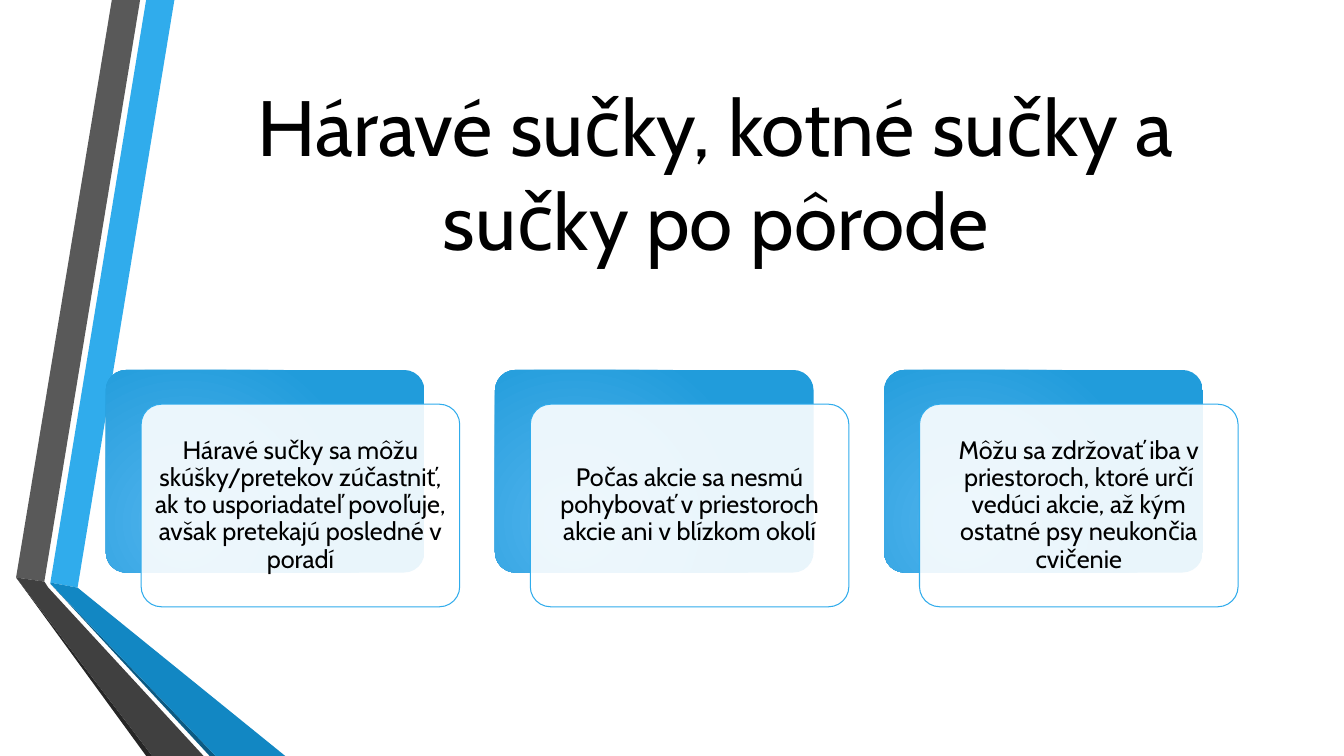
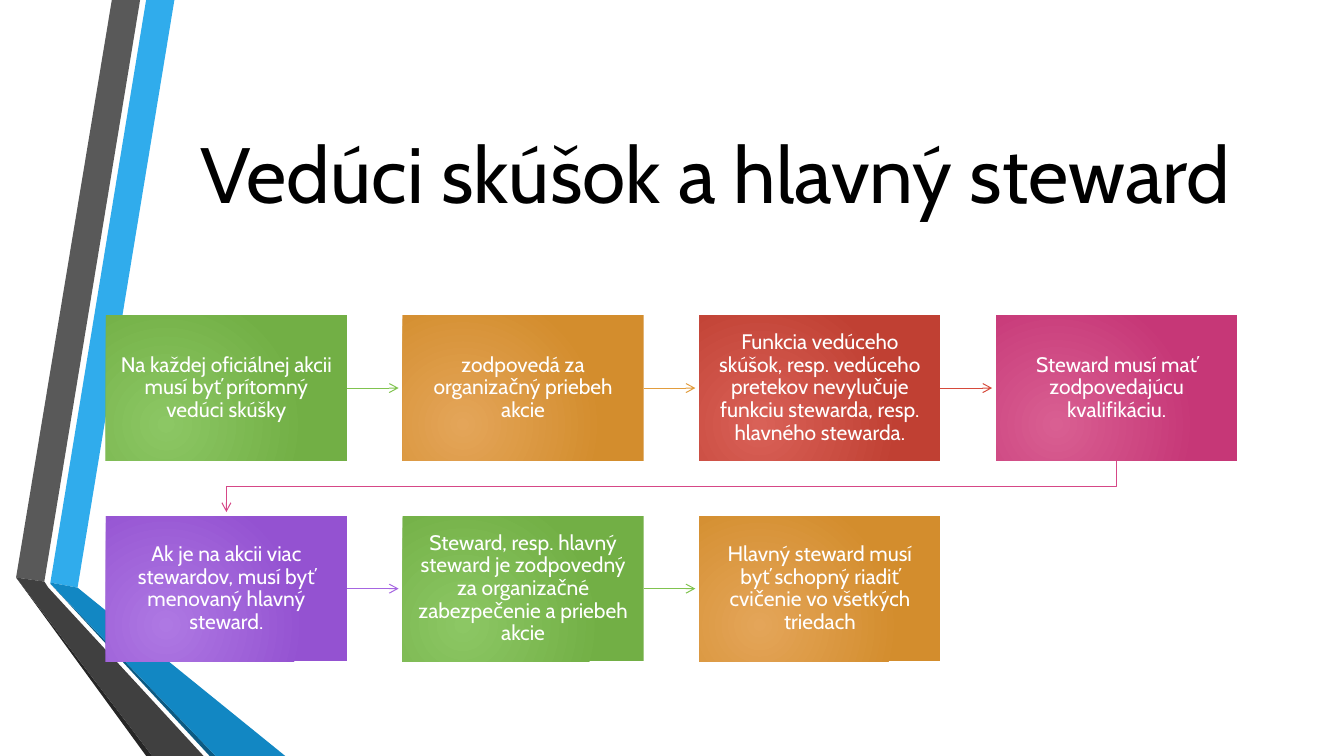
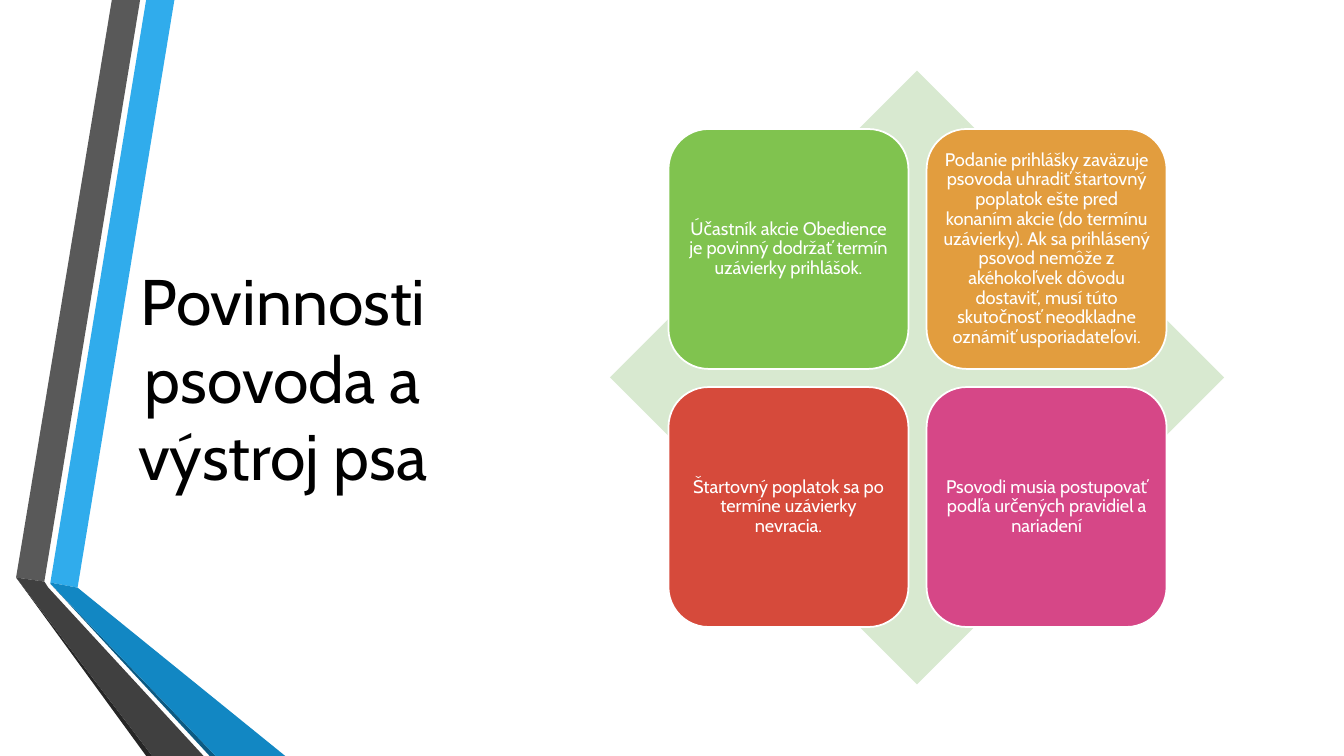
from typing import NamedTuple

from lxml.etree import SubElement
from pptx import Presentation
from pptx.dml.color import RGBColor
from pptx.enum.shapes import MSO_CONNECTOR as Connector, MSO_SHAPE as Shape
from pptx.enum.text import MSO_ANCHOR as Anchor, PP_ALIGN as Align
from pptx.oxml.ns import qn
from pptx.util import Inches, Pt

FONT = "Cabin"
COLORS = {
    "black": "000000", "white": "FFFFFF", "blue": "30ACEC",
    "blue deep": "1287C3", "blue dark": "0C5A82",
    "gray": "595959", "gray deep": "404040", "gray dark": "262626",
    "green": "80C34F", "orange": "E29D3E", "red": "D64A3B",
    "pink": "D64787", "purple": "A666E1", "pale green": "D8E9D0",
}
GRADIENTS = {
    "blue": ("51B3ED", "219CDB"), "green": ("8CC764", "72AF45"),
    "orange": ("E4A559", "D38D2D"), "red": ("D96157", "C04033"),
    "pink": ("D95F92", "C63777"), "purple": ("AE78E3", "9452D1"),
}
RIBBON = [
    ("blue", [(0.5, 5.78), (0.77, 5.83), (1.73, 0), (1.45, 0)]),
    ("gray", [(1.39, 0), (1.11, 0), (0.16, 5.73), (0.44, 5.77)]),
    ("gray dark", [(0.16, 5.73), (1.45, 7.5), (1.51, 7.5)]),
    ("blue dark", [(0.5, 5.79), (2.08, 7.5), (2.14, 7.5)]),
    ("blue deep", [(0.5, 5.79), (2.14, 7.5), (2.83, 7.5), (0.77, 5.83), (0.5, 5.78)]),
    ("gray deep", [(2.02, 7.5), (0.48, 5.83), (0.44, 5.77), (0.16, 5.73), (1.51, 7.5)]),
]
HEAT_RULES = [
    "Háravé sučky sa môžu skúšky/pretekov zúčastniť, ak to usporiadateľ povoľuje, "
    "avšak pretekajú posledné v poradí",
    "Počas akcie sa nesmú pohybovať v priestoroch akcie ani v blízkom okolí",
    "Môžu sa zdržovať iba v priestoroch, ktoré určí vedúci akcie, až kým ostatné psy "
    "neukončia cvičenie",
]
STEWARD_STEPS = [
    ("green", "Na každej oficiálnej akcii musí byť prítomný vedúci skúšky"),
    ("orange", "zodpovedá za organizačný priebeh akcie"),
    ("red", "Funkcia vedúceho skúšok, resp. vedúceho pretekov nevylučuje funkciu "
            "stewarda, resp. hlavného stewarda."),
    ("pink", "Steward musí mať zodpovedajúcu kvalifikáciu."),
    ("purple", "Ak je na akcii viac stewardov, musí byť menovaný hlavný steward."),
    ("green", "Steward, resp. hlavný steward je zodpovedný za organizačné zabezpečenie "
              "a priebeh akcie"),
    ("orange", "Hlavný steward musí byť schopný riadiť cvičenie vo všetkých triedach"),
]
HANDLER_DUTIES = [
    ("green", "Účastník akcie Obedience je povinný dodržať termín uzávierky prihlášok."),
    ("orange", "Podanie prihlášky zaväzuje psovoda uhradiť štartovný poplatok ešte pred "
               "konaním akcie (do termínu uzávierky). Ak sa prihlásený psovod nemôže z "
               "akéhokoľvek dôvodu dostaviť, musí túto skutočnosť neodkladne oznámiť "
               "usporiadateľovi."),
    ("red", "Štartovný poplatok sa po termíne uzávierky nevracia."),
    ("pink", "Psovodi musia postupovať podľa určených pravidiel a nariadení"),
]


class Box(NamedTuple):
    left: float
    top: float
    width: float
    height: float

    def lengths(self):
        return [Inches(value) for value in self]


def rgb(name):
    return RGBColor.from_string(COLORS[name])


def write(shape, text, size, color, inset=None, spacing=None):
    frame = shape.text_frame
    frame.word_wrap = True
    frame.vertical_anchor = Anchor.MIDDLE
    if inset is not None:
        frame.margin_left = frame.margin_right = Inches(inset)
        frame.margin_top = frame.margin_bottom = Inches(inset)
    para = frame.paragraphs[0]
    para.text = text
    para.alignment = Align.CENTER
    para.line_spacing = spacing
    para.font.name = FONT
    para.font.size = Pt(size)
    para.font.color.rgb = rgb(color)


def add_panel(page, kind, box, fill=None, line=None, line_width=0.75):
    panel = page.shapes.add_shape(kind, *box.lengths())
    panel.shadow.inherit = False
    if fill:
        panel.fill.solid()
        panel.fill.fore_color.rgb = rgb(fill)
    if line:
        panel.line.color.rgb = rgb(line)
        panel.line.width = Pt(line_width)
    else:
        panel.line.fill.background()
    return panel


def fill_radial(shape, name):
    """Fill with a two-colour glow centred low on the left."""
    shape.fill.gradient()
    for stop, color in zip(shape.fill.gradient_stops, GRADIENTS[name]):
        stop.color.rgb = RGBColor.from_string(color)
    gradient = shape.element.spPr.find(qn("a:gradFill"))
    gradient.remove(gradient.find(qn("a:lin")))
    circle = SubElement(gradient, qn("a:path"), path="circle")
    SubElement(circle, qn("a:fillToRect"), l="50000", t="100000", r="100000", b="50000")


def add_arrow(page, kind, start, end, color):
    points = [Inches(value) for value in (*start, *end)]
    arrow = page.shapes.add_connector(kind, *points)
    arrow.line.color.rgb = rgb(color)
    arrow.line.width = Pt(0.75)
    SubElement(arrow.line._get_or_add_ln(), qn("a:tailEnd"), type="arrow")
    SubElement(arrow.element.spPr, qn("a:effectLst"))
    return arrow


def add_return_arrow(page, start, end, color):
    """Go down, left and down again: an elbow turned by a quarter."""
    middle_x, middle_y = (start[0] + end[0]) / 2, (start[1] + end[1]) / 2
    half_run, half_drop = (start[0] - end[0]) / 2, (end[1] - start[1]) / 2
    arrow = add_arrow(page, Connector.ELBOW,
                      (middle_x - half_drop, middle_y - half_run),
                      (middle_x + half_drop, middle_y + half_run), color)
    arrow.element.spPr.find(qn("a:xfrm")).set("rot", "5400000")


def add_ribbon(page):
    for color, points in RIBBON:
        start, *rest = [(Inches(x), Inches(y)) for x, y in points]
        builder = page.shapes.build_freeform(*start)
        builder.add_line_segments(rest, close=True)
        strip = builder.convert_to_shape()
        strip.shadow.inherit = False
        strip.fill.solid()
        strip.fill.fore_color.rgb = rgb(color)
        strip.line.fill.background()


def add_page(deck, title, box, size=56):
    page = deck.slides.add_slide(deck.slide_layouts[6])
    add_ribbon(page)
    write(page.shapes.add_textbox(*box.lengths()), title, size, "black")
    return page


def add_layered_cards(page, box, texts):
    width, height, shift_x, shift_y = 3.16, 2.01, 0.35, 0.34
    stride = (box.width - width - shift_x) / (len(texts) - 1)
    for index, text in enumerate(texts):
        left = box.left + index * stride
        back = add_panel(page, Shape.ROUNDED_RECTANGLE, Box(left, box.top, width, height))
        fill_radial(back, "blue")
        front = add_panel(page, Shape.ROUNDED_RECTANGLE,
                          Box(left + shift_x, box.top + shift_y, width, height),
                          "white", "blue")
        white = front.element.spPr.find(qn("a:solidFill"))[0]
        SubElement(white, qn("a:alpha"), val="90000")
        for card in (back, front):
            card.adjustments[0] = 0.1
        write(front, text, 18, "black", 0.07, 0.9)


def add_process(page, box, steps, columns=4):
    width, height, tip_gap = 2.39, 1.44, 0.04
    stride_x = (box.width - width) / (columns - 1)
    stride_y = box.height - height
    for index, (color, text) in enumerate(steps):
        row, column = divmod(index, columns)
        left, top = box.left + column * stride_x, box.top + row * stride_y
        step = add_panel(page, Shape.RECTANGLE, Box(left, top, width, height))
        fill_radial(step, color)
        write(step, text, 15, "white", 0.12, 0.9)
        if index == len(steps) - 1:
            continue
        if column < columns - 1:
            middle = top + height / 2
            add_arrow(page, Connector.STRAIGHT, (left + width, middle),
                      (left + stride_x - tip_gap, middle), color)
        else:
            add_return_arrow(page, (left + width / 2, top + height),
                             (box.left + width / 2, top + stride_y - tip_gap), color)


def add_diamond_matrix(page, box, duties):
    add_panel(page, Shape.DIAMOND, box, "pale green")
    margin, side, gap = 0.58, 2.38, 0.18
    for index, (color, text) in enumerate(duties):
        row, column = divmod(index, 2)
        tile_box = Box(box.left + margin + column * (side + gap),
                       box.top + margin + row * (side + gap), side, side)
        tile = add_panel(page, Shape.ROUNDED_RECTANGLE, tile_box, color, "white", 1.25)
        write(tile, text, 13, "white", 0.05, 0.9)


def main():
    deck = Presentation()
    deck.slide_width, deck.slide_height = Inches(13.33), Inches(7.5)
    top_title = Box(1.62, 0.75, 10.96, 1.92)

    page = add_page(deck, "Háravé sučky, kotné sučky a sučky po pôrode", top_title)
    add_layered_cards(page, Box(1.05, 3.67, 11.23, 2.35), HEAT_RULES)

    page = add_page(deck, "Vedúci skúšok a hlavný steward", top_title)
    add_process(page, Box(1.05, 3.13, 11.22, 3.43), STEWARD_STEPS)

    page = add_page(deck, "Povinnosti psovoda a výstroj psa", Box(1.05, 0.7, 3.51, 6.09), 46)
    add_diamond_matrix(page, Box(6.05, 0.7, 6.09, 6.09), HANDLER_DUTIES)

    deck.save("out.pptx")


if __name__ == "__main__":
    main()
